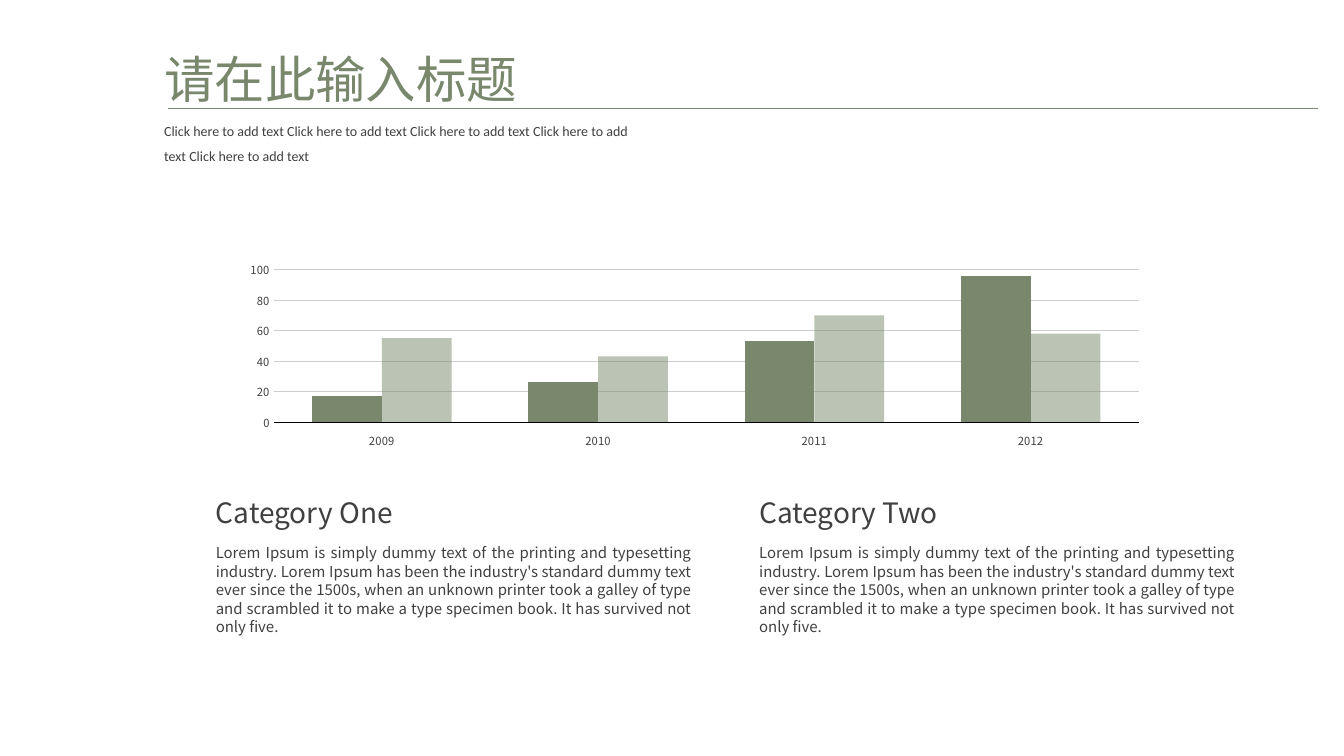
import pptx
import pptx.util
import pptx.chart.data
import pptx.dml.color
import pptx.enum.chart
import pptx.enum.shapes
import pptx.enum.text
import pptx.oxml
import pptx.oxml.ns

Inches, Pt = pptx.util.Inches, pptx.util.Pt
RGB = pptx.dml.color.RGBColor.from_string
qn = pptx.oxml.ns.qn
MSO_ANCHOR = pptx.enum.text.MSO_ANCHOR
PP_ALIGN = pptx.enum.text.PP_ALIGN
COLORS = {"green": "79886C", "text": "404040", "grid": "CDCDCD", "axis": "000000"}
FONT = "Noto Sans CJK SC"
LOREM = (
    "Lorem Ipsum is simply dummy text of the printing and typesetting industry. "
    "Lorem Ipsum has been the industry's standard dummy text ever since the 1500s, "
    "when an unknown printer took a galley of type and scrambled it to make a type "
    "specimen book. It has survived not only five."
)


def write(sp, box, text, size, color, font=FONT, spacing=1.0,
          align=PP_ALIGN.LEFT, anchor=MSO_ANCHOR.TOP, inset=None):
    sp.left, sp.top, sp.width, sp.height = [Inches(v) for v in box]
    tf = sp.text_frame
    tf.text = text
    tf.word_wrap = True
    tf.auto_size = pptx.enum.text.MSO_AUTO_SIZE.NONE
    tf.vertical_anchor = anchor
    if inset is not None:
        tf.margin_left = tf.margin_right = tf.margin_top = tf.margin_bottom = Inches(inset)
    p = tf.paragraphs[0]
    p.alignment = align
    p.line_spacing = spacing
    r = p.runs[0]
    r.font.size = Pt(size)
    r.font.name = font
    r.font.color.rgb = RGB(COLORS[color])
    ea = r.font._element.makeelement(qn("a:ea"), {"typeface": font})
    r.font._element.find(qn("a:latin")).addnext(ea)


prs = pptx.Presentation()
prs.slide_width, prs.slide_height = Inches(13.33), Inches(7.5)
s = prs.slides.add_slide(prs.slide_layouts[5])

write(s.shapes.title, (1.53, 0.3, 4.55, 0.95), "请在此输入标题", 36, "green",
      anchor=MSO_ANCHOR.MIDDLE)
subtitle = s.shapes.add_textbox(0, 0, 0, 0)
write(subtitle, (1.53, 1.08, 4.84, 0.57), " ".join(["Click here to add text"] * 5),
      10, "text", font="Calibri", spacing=1.5)

rule = s.shapes.add_connector(pptx.enum.shapes.MSO_CONNECTOR.STRAIGHT,
                              Inches(1.67), Inches(1.08), Inches(13.07), Inches(1.08))
rule.line.color.rgb = RGB(COLORS["green"])
rule.line.width = Pt(0.5)
rule._element.spPr.append(pptx.oxml.parse_xml(
    '<a:effectLst xmlns:a="http://schemas.openxmlformats.org/drawingml/2006/main"/>'))

data = pptx.chart.data.CategoryChartData()
data.categories = ["2009", "2010", "2011", "2012"]
data.add_series("Series 1", (17, 26, 53, 96))
data.add_series("Series 2", (55, 43, 70, 58))
chart = s.shapes.add_chart(pptx.enum.chart.XL_CHART_TYPE.COLUMN_CLUSTERED,
                           Inches(1.96), Inches(2.07), Inches(9.43), Inches(2.52),
                           data).chart
chart.has_legend = False
chart.has_title = False
chart.font.size = Pt(8)
chart.font.name = FONT
chart.font.color.rgb = RGB(COLORS["text"])

plot = chart.plots[0]
plot.gap_width = 110
plot.overlap = 0
plot.vary_by_categories = False
for series in plot.series:
    series.invert_if_negative = False
    series.format.fill.solid()
    series.format.fill.fore_color.rgb = RGB(COLORS["green"])
light = plot.series[1]._element.find(".//" + qn("a:srgbClr"))
light.append(light.makeelement(qn("a:alpha"), {"val": "50000"}))

cat, val = chart.category_axis, chart.value_axis
for axis in (cat, val):
    axis.major_tick_mark = axis.minor_tick_mark = pptx.enum.chart.XL_TICK_MARK.NONE
cat.tick_label_position = pptx.enum.chart.XL_TICK_LABEL_POSITION.LOW
cat.format.line.color.rgb = RGB(COLORS["axis"])
cat.format.line.width = Pt(0.37)
val.minimum_scale, val.maximum_scale, val.major_unit = 0, 100, 20
val.format.line.fill.background()
val.has_major_gridlines = True
val.major_gridlines.format.line.color.rgb = RGB(COLORS["grid"])
val.major_gridlines.format.line.width = Pt(0.37)

area = chart._chartSpace.find(".//" + qn("c:plotArea"))
for old in area.findall(qn("c:layout")):
    area.remove(old)
settings = {"layoutTarget": "inner", "xMode": "edge", "yMode": "edge",
            "x": 0.08, "y": 0.24, "w": 0.91, "h": 0.6}
area.insert(0, pptx.oxml.parse_xml(
    '<c:layout xmlns:c="http://schemas.openxmlformats.org/drawingml/2006/chart">'
    "<c:manualLayout>"
    + "".join(f'<c:{k} val="{v}"/>' for k, v in settings.items())
    + "</c:manualLayout></c:layout>"))

for i, name in enumerate(["Category One", "Category Two"]):
    left = 2.14 + i * 5.39
    body = s.shapes.add_textbox(0, 0, 0, 0)
    write(body, (left, 5.39, 4.72, 0.9), LOREM, 10.7, "text", spacing=1.03,
          align=PP_ALIGN.JUSTIFY, inset=0)
    heading = s.shapes.add_textbox(0, 0, 0, 0)
    write(heading, (left, 4.92, 3.5, 0.39), name, 20, "text", spacing=0.8,
          anchor=MSO_ANCHOR.MIDDLE, inset=0)

prs.save("out.pptx")
